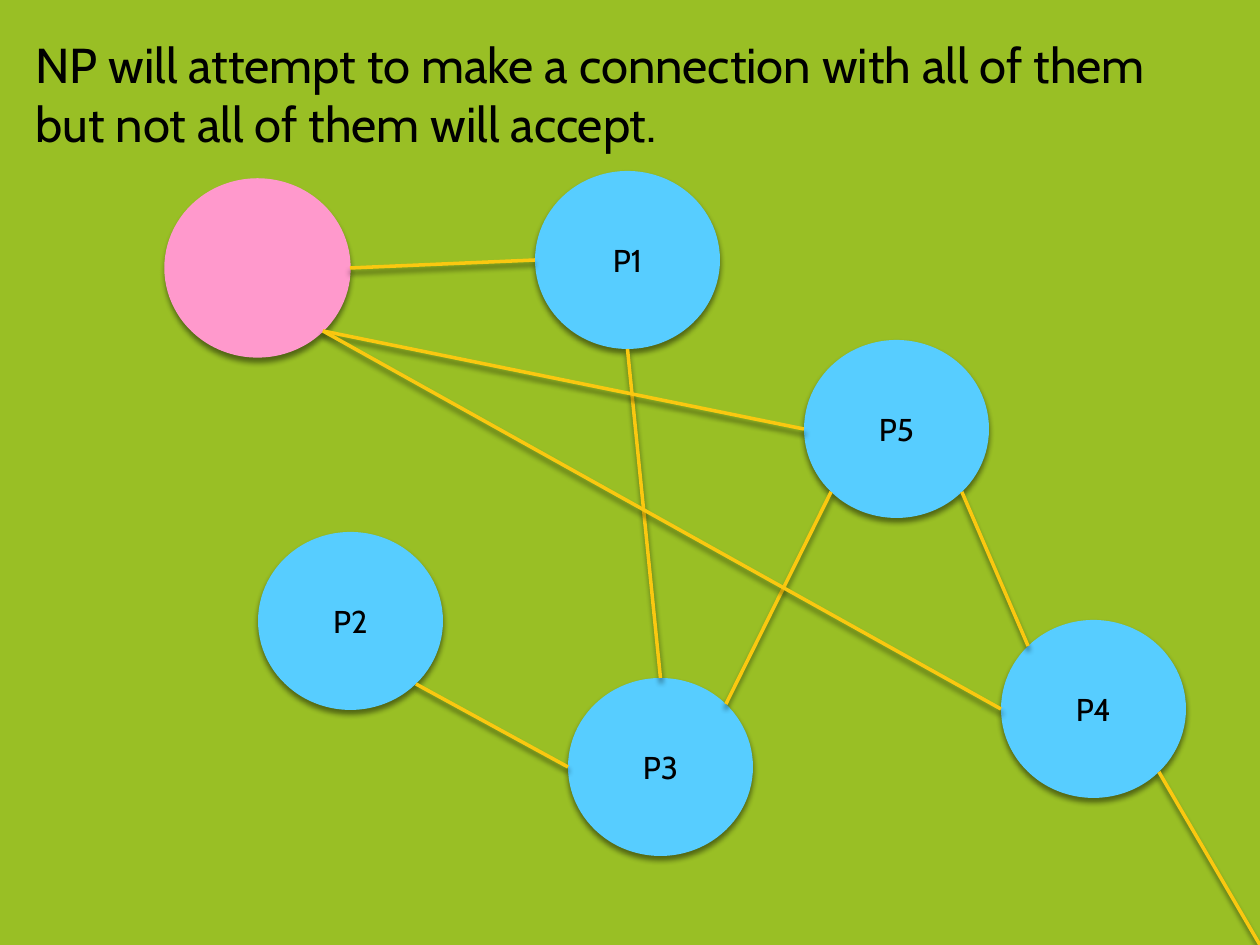
from math import cos, radians, sin

from lxml.etree import SubElement
from pptx import Presentation
from pptx.dml.color import RGBColor
from pptx.enum.shapes import MSO_CONNECTOR as Connector, MSO_SHAPE as Shape
from pptx.enum.text import MSO_ANCHOR as Anchor, MSO_AUTO_SIZE as AutoSize, PP_ALIGN as Align
from pptx.oxml.ns import qn
from pptx.util import Emu, Pt

PX_PER_INCH = 126
FONT = "Cabin"
GREEN, BLUE, PINK, YELLOW, BLACK = "99BF25", "57CDFF", "FF99CC", "FAC810", "000000"
NODE_WIDTH, NODE_HEIGHT = 185, 178
SITES = ["top", "top left", "left", "bottom left",
         "bottom", "bottom right", "right", "top right"]

PEERS = {
    "P1": (535, 171),
    "P2": (258, 532),
    "P4": (1001, 620),
    "P3": (568, 678),
    "P5": (804, 340),
}
NEW_PEER = (165, 179)
LINKS = [
    ("P5", "bottom right", "P4", "top left"),
    ("P5", "bottom left", "P3", "top right"),
    ("P1", "bottom", "P3", "top"),
    ("P3", "left", "P2", "bottom right"),
    ("P1", "left", "NP", "right"),
    ("P5", "left", "NP", "bottom right"),
    ("P4", "left", "NP", "bottom right"),
]


def px(length):
    return Emu(round(length * 914400 / PX_PER_INCH))


def color(value):
    return RGBColor.from_string(value)


def add_shadow(item):
    properties = item._element.spPr
    effects = properties.find(qn("a:effectLst"))
    if effects is None:
        effects = SubElement(properties, qn("a:effectLst"))
    shadow = SubElement(effects, qn("a:outerShdw"), blurRad=str(Pt(3)),
                        dist=str(Pt(2.4)), dir="5400000", rotWithShape="0")
    tint = SubElement(shadow, qn("a:srgbClr"), val=BLACK)
    SubElement(tint, qn("a:alpha"), val="45000")


def write_text(frame, text, size, align=Align.LEFT, anchor=Anchor.TOP):
    frame.word_wrap = True
    frame.vertical_anchor = anchor
    para = frame.paragraphs[0]
    para.alignment = align
    span = para.add_run()
    span.text = text
    span.font.name = FONT
    span.font.size = Pt(size)
    span.font.color.rgb = color(BLACK)


def add_heading(page, left, top, width, height):
    box = page.shapes.add_textbox(px(left), px(top), px(width), px(height))
    write_text(box.text_frame, "NP will attempt to make a connection with all of them "
               "but not all of them will accept.", 28)
    box.text_frame.auto_size = AutoSize.SHAPE_TO_FIT_TEXT


def add_node(page, left, top, fill, label=None, outline=None):
    node = page.shapes.add_shape(Shape.OVAL, px(left), px(top),
                                 px(NODE_WIDTH), px(NODE_HEIGHT))
    node.fill.solid()
    node.fill.fore_color.rgb = color(fill)
    if outline:
        node.line.color.rgb = color(outline)
        node.line.width = Pt(0.8)
    else:
        node.line.fill.background()
    node.shadow.inherit = False
    add_shadow(node)
    if label:
        write_text(node.text_frame, label, 18, Align.CENTER, Anchor.MIDDLE)
    return node


def site_point(node, site):
    angle = radians(90 + 45 * SITES.index(site))
    return (round(node.left + node.width / 2 * (1 + cos(angle))),
            round(node.top + node.height / 2 * (1 - sin(angle))))


def attach(link, end, node, site):
    SubElement(link._element.nvCxnSpPr.cNvCxnSpPr, qn(end),
               id=str(node.shape_id), idx=str(SITES.index(site)))


def add_link(page, begin, end):
    link = page.shapes.add_connector(Connector.STRAIGHT, *begin, *end)
    link.line.color.rgb = color(YELLOW)
    link.line.width = Pt(2)
    add_shadow(link)
    return link


def add_network(page, page_corner):
    nodes = {name: add_node(page, *corner, BLUE, name) for name, corner in PEERS.items()}
    nodes["NP"] = add_node(page, *NEW_PEER, PINK, outline=PINK)

    outgoing = add_link(page, site_point(nodes["P4"], "bottom right"), page_corner)
    attach(outgoing, "a:stCxn", nodes["P4"], "bottom right")

    for source, source_site, target, target_site in LINKS:
        begin, end = nodes[source], nodes[target]
        link = add_link(page, site_point(begin, source_site), site_point(end, target_site))
        attach(link, "a:stCxn", begin, source_site)
        attach(link, "a:endCxn", end, target_site)


def main():
    deck = Presentation()
    deck.slide_width, deck.slide_height = px(1260), px(945)
    page = deck.slides.add_slide(deck.slide_layouts[6])
    page.background.fill.solid()
    page.background.fill.fore_color.rgb = color(GREEN)
    add_heading(page, 23, 28, 1168, 131)
    add_network(page, (deck.slide_width, deck.slide_height))
    deck.save("out.pptx")


if __name__ == "__main__":
    main()
